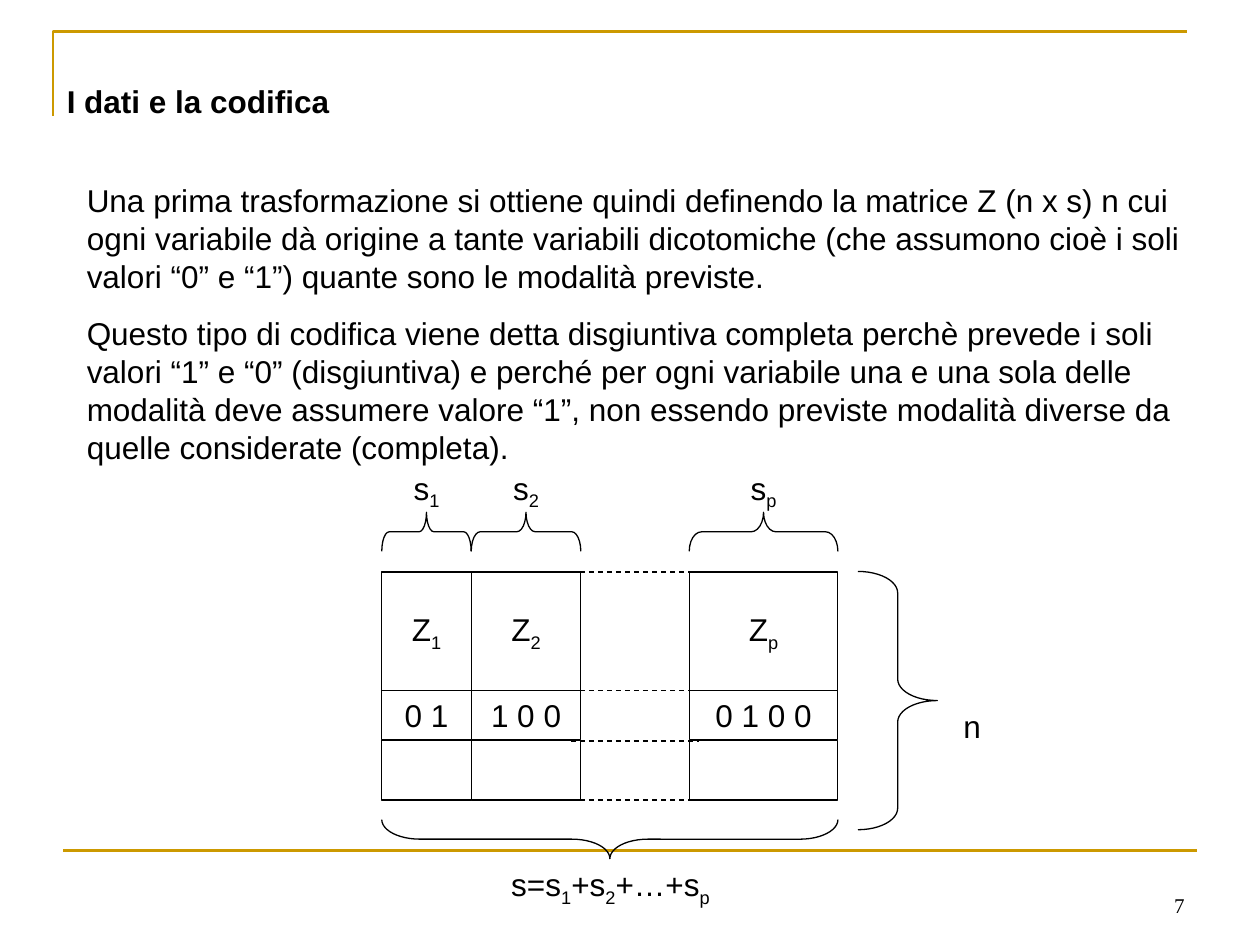
"""Build the slide on disjunctive coding of a data matrix."""
from dataclasses import dataclass

from lxml import etree
from pptx import Presentation
from pptx.dml.color import RGBColor
from pptx.enum.dml import MSO_LINE_DASH_STYLE as Dash
from pptx.enum.shapes import MSO_CONNECTOR as Conn, MSO_SHAPE as Shape
from pptx.enum.text import MSO_ANCHOR as Anchor, PP_ALIGN as Align
from pptx.oxml.ns import qn
from pptx.util import Inches, Pt

BLACK = RGBColor(0x00, 0x00, 0x00)
GOLD = RGBColor(0xCC, 0x99, 0x00)


@dataclass
class Block:
    left: float
    width: float
    index: str
    code: str


@dataclass
class Row:
    top: float
    height: float


BLOCKS = [
    Block(3.03, 0.71, "1", "0 1"),
    Block(3.74, 0.87, "2", "1 0 0"),
    Block(5.47, 1.18, "p", "0 1 0 0"),
]
ROWS = [Row(4.54, 0.94), Row(5.48, 0.39), Row(5.88, 0.47)]
RULES = [row.top for row in ROWS] + [6.35]
BODY = [
    "Una prima trasformazione si ottiene quindi definendo la matrice Z (n x s) n cui "
    "ogni variabile dà origine a tante variabili dicotomiche (che assumono cioè i soli "
    "valori “0” e “1”) quante sono le modalità previste.",
    "Questo tipo di codifica viene detta disgiuntiva completa perchè prevede i soli "
    "valori “1” e “0” (disgiuntiva) e perché per ogni variabile una e una sola delle "
    "modalità deve assumere valore “1”, non essendo previste modalità diverse da "
    "quelle considerate (completa).",
]


def box(left: float, top: float, width: float, height: float) -> list:
    """Turn a position in inches into lengths."""
    return [Inches(v) for v in (left, top, width, height)]


def write(tf, *texts: str, size: float = 18, font: str = "Arial", bold: bool = False,
          align=Align.LEFT, anchor=Anchor.TOP, wrap: bool = True) -> None:
    """Write paragraphs in which every second part between bars is a subscript."""
    tf.word_wrap = wrap
    tf.vertical_anchor = anchor
    for i, text in enumerate(texts):
        p = tf.add_paragraph() if i else tf.paragraphs[0]
        p.alignment = align
        p.space_before = Pt(11.2 if i else 0)
        for j, part in enumerate(text.split("|")):
            if not part:
                continue
            r = p.add_run()
            r.text = part
            r.font.size, r.font.name, r.font.bold = Pt(size), font, bold
            r.font.color.rgb = BLACK
            if j % 2:
                r.font._element.set("baseline", "-25000")


def add_text(s, at: tuple, *texts: str, **fmt) -> None:
    """Add a text box."""
    write(s.shapes.add_textbox(*box(*at)).text_frame, *texts, **fmt)


def outline(sp, color: RGBColor = BLACK, width: float = 0.75) -> None:
    """Leave a shape with its outline only."""
    sp.shadow.inherit = False
    sp.fill.background()
    sp.line.color.rgb = color
    sp.line.width = Pt(width)


def add_line(s, x1: float, x2: float, y: float, color: RGBColor = BLACK,
             width: float = 0.75, dash=None) -> None:
    """Add a horizontal line."""
    c = s.shapes.add_connector(Conn.STRAIGHT, *box(x1, y, x2, y))
    c.line.color.rgb = color
    c.line.width = Pt(width)
    if dash:
        c.line.dash_style = dash
    etree.SubElement(c._element.spPr, qn("a:effectLst"))


def add_brace(s, cx: float, cy: float, depth: float, length: float,
              rotation: float = 0) -> None:
    """Add a brace around its centre, turned from pointing right."""
    at = box(cx - depth / 2, cy - length / 2, depth, length)
    sp = s.shapes.add_shape(Shape.RIGHT_BRACE, *at)
    sp.rotation = rotation
    sp.adjustments[0] = length / 12 / depth
    outline(sp)


def add_cell(s, block: Block, row: Row, text: str) -> None:
    """Add one cell of the matrix."""
    sp = s.shapes.add_shape(Shape.RECTANGLE, *box(block.left, row.top, block.width, row.height))
    outline(sp)
    if text:
        write(sp.text_frame, text, align=Align.CENTER, anchor=Anchor.MIDDLE, wrap=False)


def add_frame(s) -> None:
    """Add the gold corner and the gold footer line."""
    fb = s.shapes.build_freeform(Inches(0.42), Inches(0.92))
    fb.add_line_segments([(Inches(0.42), Inches(0.25)), (Inches(9.42), Inches(0.25))], close=False)
    outline(fb.convert_to_shape(), GOLD, 1.5)
    add_line(s, 0.5, 9.5, 6.75, GOLD, 1.5)


def add_matrix(s) -> None:
    """Add the blocks of the matrix with braces and labels."""
    for block in BLOCKS:
        center = block.left + block.width / 2
        for row, text in zip(ROWS, (f"Z|{block.index}", block.code, "")):
            add_cell(s, block, row, text)
        add_brace(s, center, 4.22, 0.31, block.width, 270)
        add_text(s, (center - 0.275, 3.67, 0.55, 0.44), f"s|{block.index}", align=Align.CENTER)
    for y in RULES:
        add_line(s, 4.53, 5.55, y, dash=Dash.DASH)
    add_brace(s, 7.125, 5.56, 0.63, 2.05)
    add_text(s, (7.44, 5.56, 0.55, 0.4), "n", align=Align.CENTER)
    add_brace(s, 4.84, 6.66, 0.31, 3.62, 90)
    add_text(s, (3.19, 6.82, 3.31, 0.44), "s=s|1|+s|2|+…+s|p", align=Align.CENTER)


def main() -> None:
    """Build and save the presentation."""
    prs = Presentation()
    prs.slide_width, prs.slide_height = Inches(10), Inches(7.5)
    s = prs.slides.add_slide(prs.slide_layouts[5])
    add_frame(s)
    title = s.shapes.title
    title.left, title.top, title.width, title.height = box(0.43, 0.6, 7.64, 0.4)
    write(title.text_frame, "I dati e la codifica", bold=True)
    add_text(s, (0.59, 1.39, 8.98, 2.36), *BODY)
    add_matrix(s)
    add_text(s, (7.17, 6.83, 2.33, 0.5), "7", size=12, font="Times New Roman",
             align=Align.RIGHT, anchor=Anchor.BOTTOM)
    prs.save("out.pptx")


if __name__ == "__main__":
    main()
